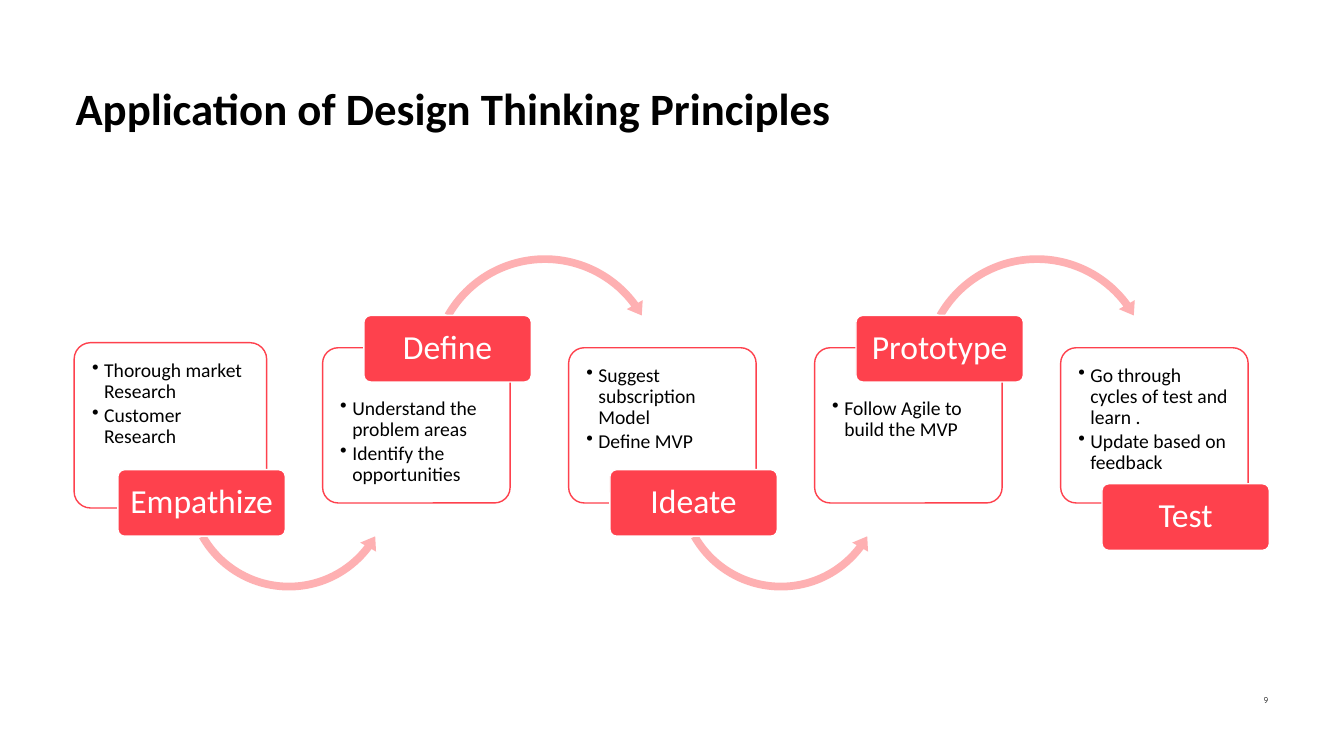
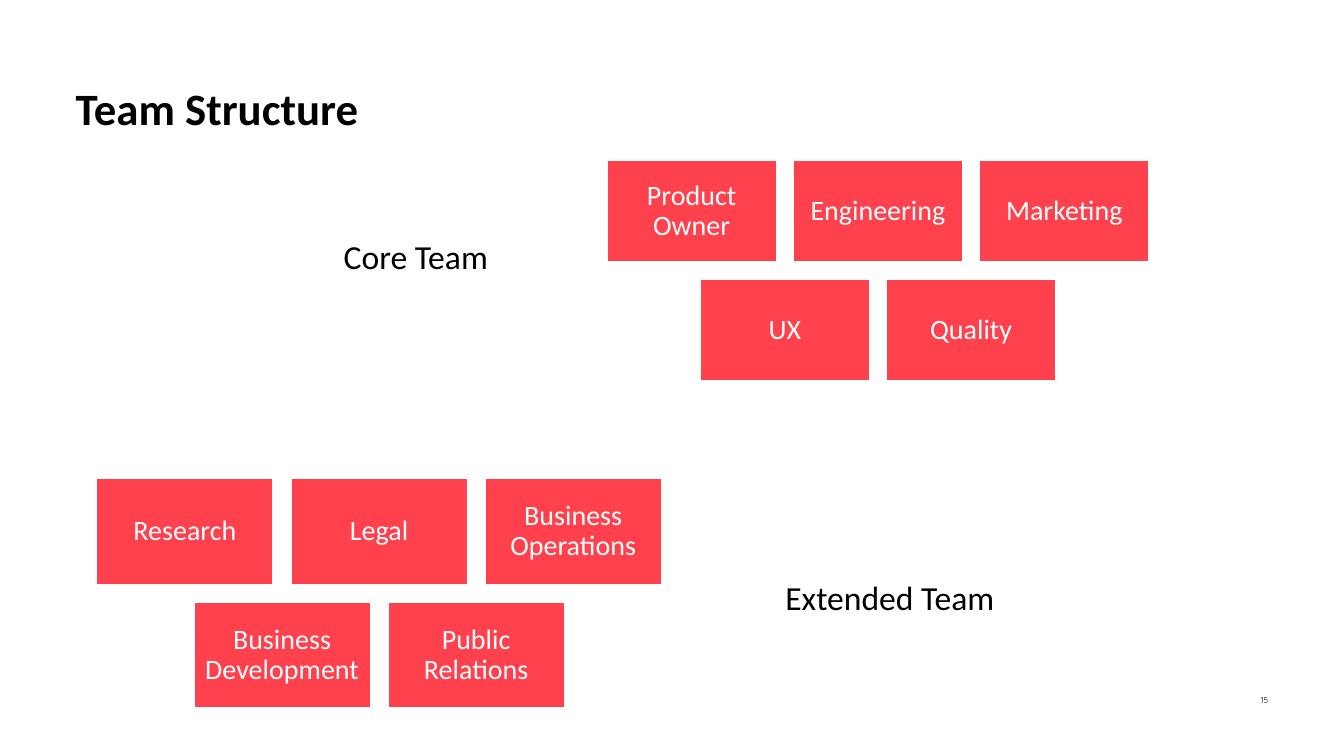
from lxml.etree import SubElement
from pptx import Presentation
from pptx.dml.color import RGBColor
from pptx.enum.shapes import MSO_SHAPE as SHAPE
from pptx.enum.text import MSO_ANCHOR as ANCHOR, PP_ALIGN as ALIGN
from pptx.oxml.ns import qn
from pptx.util import Inches, Pt

RED = RGBColor(0xFE, 0x41, 0x4D)
PINK = RGBColor(0xFE, 0xB0, 0xB2)
WHITE = RGBColor(0xFF, 0xFF, 0xFF)
BLACK = RGBColor(0, 0, 0)


def add_block(slide, kind, left, top, width, height, fill, line=None):
    block = slide.shapes.add_shape(
        kind, Inches(left), Inches(top), Inches(width), Inches(height))
    block.shadow.inherit = False
    block.fill.solid()
    block.fill.fore_color.rgb = fill
    if line is None:
        block.line.fill.background()
    else:
        block.line.color.rgb = line
        block.line.width = Pt(1)
    return block


def write(shape, lines, size, color, insets, align=ALIGN.LEFT, anchor=ANCHOR.TOP,
          spacing=1.0, after=0, bullet=False, bold=False, font="Calibri"):
    frame = shape.text_frame
    frame.word_wrap = True
    frame.vertical_anchor = anchor
    frame.margin_left, frame.margin_top, frame.margin_right, frame.margin_bottom = map(Inches, insets)
    frame.text = "\n".join(lines)
    for paragraph in frame.paragraphs:
        if bullet:
            properties = paragraph._p.get_or_add_pPr()
            properties.set("marL", str(Inches(0.12)))
            properties.set("indent", str(Inches(-0.12)))
            SubElement(properties, qn("a:buChar"), char="•")
        paragraph.alignment = align
        paragraph.line_spacing = spacing
        paragraph.space_after = Pt(after)
        paragraph.font.name = font
        paragraph.font.size = Pt(size)
        paragraph.font.bold = bold
        paragraph.font.color.rgb = color


deck = Presentation()
deck.slide_width = Inches(13.33)
deck.slide_height = Inches(7.5)

slides = []
for title, number in [("Application of Design Thinking Principles", "9"), ("Team Structure", "15")]:
    slide = deck.slides.add_slide(deck.slide_layouts[6])
    heading = slide.shapes.add_textbox(Inches(0.75), Inches(0.75), Inches(11.83), Inches(0.82))
    write(heading, [title], 32, BLACK, (0, 0, 0, 0), spacing=1.1, bold=True)
    page = slide.shapes.add_textbox(Inches(12.28), Inches(6.9), Inches(0.3), Inches(0.1))
    write(page, [number], 6, BLACK, (0, 0, 0, 0), align=ALIGN.RIGHT, font="Quicksand")
    slides.append(slide)
principles, team = slides

UNDER = (SHAPE.LEFT_CIRCULAR_ARROW, 1.03, 3.76, 2.15, (0.036, 4.466, 22.22, 90.24, 0.042))
OVER = (SHAPE.CIRCULAR_ARROW, 1.01, 2.48, 2.39, (0.032, 3.986, 194.26, 125.76, 0.038))
stages = [
    ("Empathize", ["Thorough market Research", "Customer Research"], 4.66, 0.13, 0.05, UNDER),
    ("Define", ["Understand the problem areas", "Identify the opportunities"], 3.13, 0.46, 0, OVER),
    ("Ideate", ["Suggest subscription Model", "Define MVP"], 4.66, 0.13, 0, UNDER),
    ("Prototype", ["Follow Agile to build the MVP"], 3.13, 0.46, 0, OVER),
    ("Test", ["Go through cycles of test and learn .", "Update based on feedback"], 4.8, 0.13, 0, None),
]
for index, (stage, steps, badge_top, text_top, extra, arrow) in enumerate(stages):
    left = 0.76 + 2.44 * index
    card = add_block(principles, SHAPE.ROUNDED_RECTANGLE, left - extra / 2, 3.45 - extra,
                     1.86 + extra, 1.54 + 2 * extra, WHITE, RED)
    card.adjustments[0] = 0.1
    write(card, steps, 14, BLACK, (0.13, text_top, 0.13, 0.13), spacing=0.9, after=2, bullet=True)
    if arrow:
        kind, offset, top, size, bends = arrow
        curve = add_block(principles, kind, left + offset, top, size, size, PINK)
        for position, bend in enumerate(bends):
            curve.adjustments[position] = bend
    badge = add_block(principles, SHAPE.ROUNDED_RECTANGLE, left + 0.41, badge_top, 1.66, 0.66, RED, WHITE)
    badge.adjustments[0] = 0.1
    write(badge, [stage], 24, WHITE, (0.05, 0.03, 0.05, 0.03), ALIGN.CENTER, ANCHOR.MIDDLE, 0.9)

groups = [
    (6.02, 1.59, 1.68, 1.01, [["Product Owner", "Engineering", "Marketing"], ["UX", "Quality"]],
     "Core Team", 3.31, 2.29, 1.78),
    (0.96, 4.75, 1.75, 1.05, [["Research", "Legal", "Business Operations"],
                              ["Business Development", "Public Relations"]],
     "Extended Team", 7.69, 5.67, 2.4),
]
for left, top, width, height, rows, name, name_left, name_top, name_width in groups:
    gap = width / 10
    for row, roles in enumerate(rows):
        row_left = left + (len(rows[0]) - len(roles)) * (width + gap) / 2
        for column, role in enumerate(roles):
            box = add_block(team, SHAPE.RECTANGLE, row_left + column * (width + gap),
                            top + row * (height + gap), width, height, RED, WHITE)
            write(box, [role], 20, WHITE, (0.08, 0.08, 0.08, 0.08), ALIGN.CENTER, ANCHOR.MIDDLE, 0.9)
    label = team.shapes.add_textbox(Inches(name_left), Inches(name_top), Inches(name_width), Inches(0.5))
    write(label, [name], 24, BLACK, (0.1, 0.05, 0.1, 0.05))

deck.save("out.pptx")
